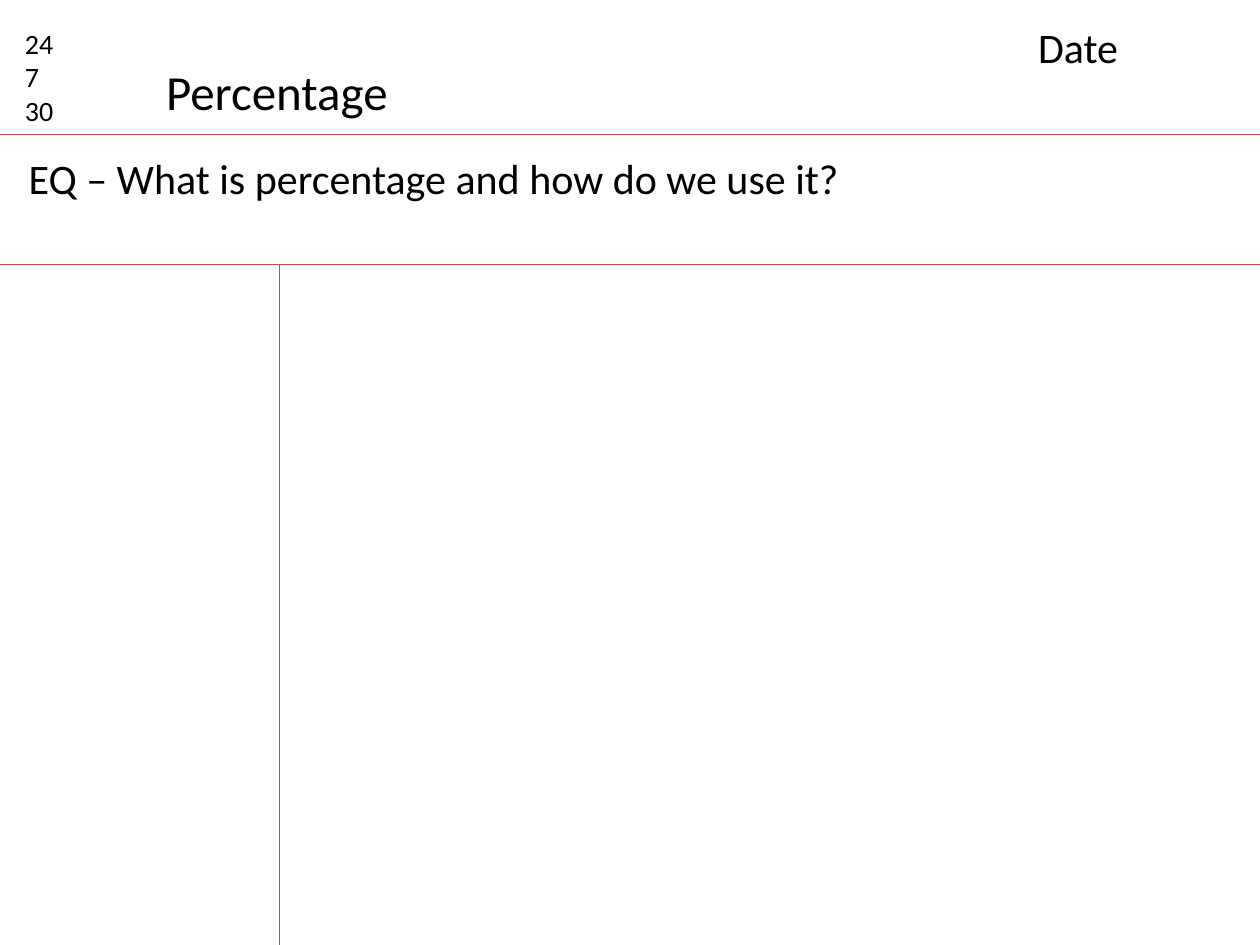
from lxml import etree
from pptx import Presentation
from pptx.dml.color import RGBColor
from pptx.enum.shapes import MSO_CONNECTOR
from pptx.enum.text import MSO_AUTO_SIZE
from pptx.oxml.ns import qn
from pptx.util import Inches, Pt

STRAIGHT = MSO_CONNECTOR.STRAIGHT
GROW = MSO_AUTO_SIZE.SHAPE_TO_FIT_TEXT
WIDTH, HEIGHT = 10, 7.5


def rgb(value):
    return RGBColor.from_string(value)


class NotesPage:
    font = "Calibri"
    ink = "000000"
    rule_color = "BF4C48"
    rule_width = 0.75

    def __init__(self, slide):
        self.s = slide
        fill = slide.background.fill
        fill.solid()
        fill.fore_color.rgb = rgb("FFFFFF")

    def rule(self, x1, y1, x2, y2):
        ends = [Inches(v) for v in (x1, y1, x2, y2)]
        line = self.s.shapes.add_connector(STRAIGHT, *ends)
        line.line.color.rgb = rgb(self.rule_color)
        line.line.width = Pt(self.rule_width)
        etree.SubElement(line._element.spPr, qn("a:effectLst"))

    def text(self, x, y, w, h, lines, size, wrap=True):
        box = [Inches(v) for v in (x, y, w, h)]
        tf = self.s.shapes.add_textbox(*box).text_frame
        tf.word_wrap = wrap
        tf.auto_size = GROW
        for i, line in enumerate(lines):
            p = tf.add_paragraph() if i else tf.paragraphs[0]
            r = p.add_run()
            r.text = line
            r.font.name = self.font
            r.font.size = Pt(size)
            r.font.color.rgb = rgb(self.ink)


def main():
    prs = Presentation()
    prs.slide_width, prs.slide_height = Inches(WIDTH), Inches(HEIGHT)
    page = NotesPage(prs.slides.add_slide(prs.slide_layouts[6]))

    # Rules dividing header, question and the two note columns
    header_y, question_y, margin_x = 1.07, 2.1, 2.22
    for y in (header_y, question_y):
        page.rule(0, y, WIDTH, y)
    page.rule(margin_x, question_y, margin_x, 7.69)

    # Header
    page.text(0.1, 0.16, 0.63, 0.91, ["24", "7", "30"], 16)
    page.text(1.22, 0.44, 1.98, 0.57, ["Percentage"], 28, wrap=False)
    page.text(8.14, 0.12, 1.73, 0.5, ["Date"], 24)

    # Essential question
    page.text(0.13, 1.16, 9.43, 0.5,
              ["EQ – What is percentage and how do we use it?"], 24)

    prs.save("out.pptx")


if __name__ == "__main__":
    main()
